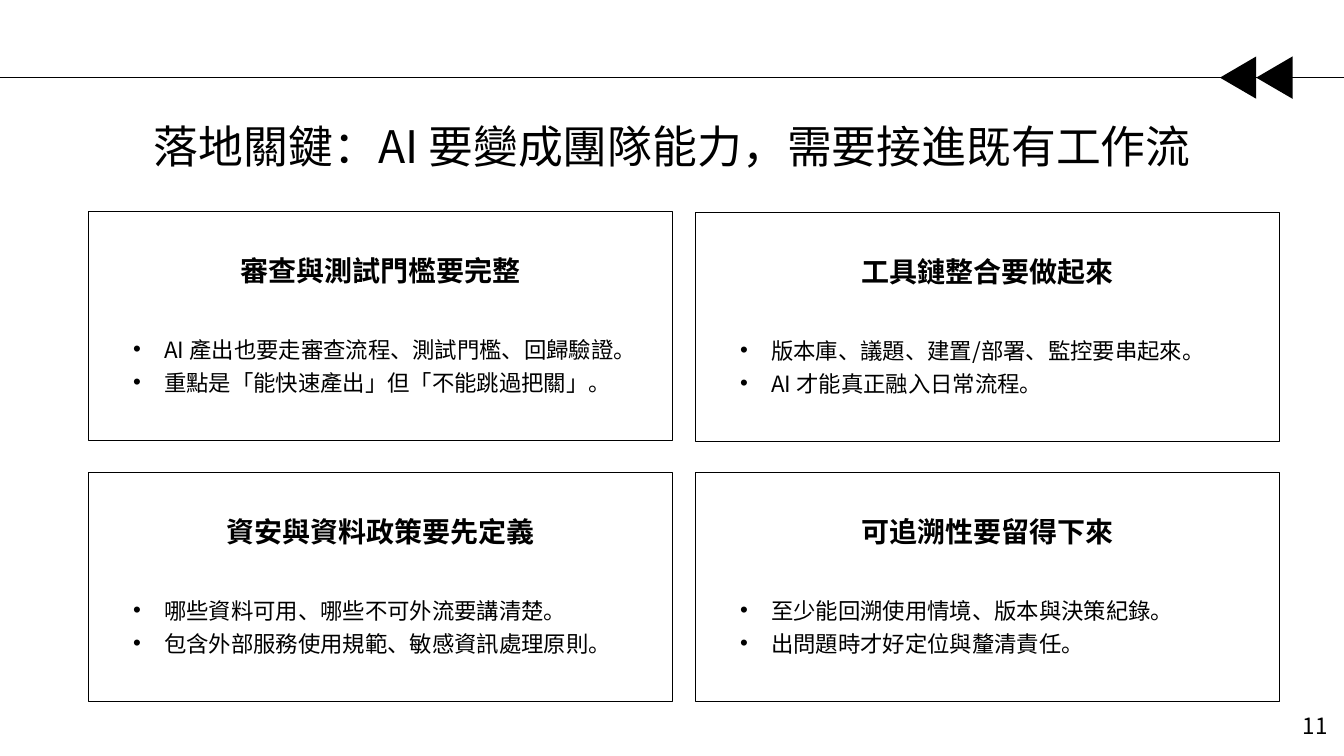
from dataclasses import dataclass

from lxml.etree import SubElement
from pptx import Presentation
from pptx.dml.color import RGBColor as Rgb
from pptx.enum.shapes import MSO_CONNECTOR as Link, MSO_SHAPE as Kind
from pptx.enum.text import MSO_ANCHOR as Anchor, MSO_AUTO_SIZE as Fit, PP_ALIGN as Align
from pptx.oxml.ns import qn
from pptx.shapes.base import BaseShape
from pptx.slide import Slide
from pptx.util import Emu, Pt

PX = 9144
FONT = "Noto Sans CJK SC"
COLORS = {"ink": "000000", "paper": "FFFFFF"}
CARD_W, CARD_H = 579, 227
INDENT = 31
LEADING = 1.23


@dataclass(frozen=True)
class Box:
    x: int
    y: int
    w: int
    h: int


@dataclass(frozen=True)
class Card:
    slot: int
    x: int
    y: int
    head: str
    items: tuple[str, ...]


CARDS = (
    Card(1, 88, 210, "審查與測試門檻要完整",
         ("AI 產出也要走審查流程、測試門檻、回歸驗證。",
          "重點是「能快速產出」但「不能跳過把關」。")),
    Card(2, 690, 211, "工具鏈整合要做起來",
         ("版本庫、議題、建置/部署、監控要串起來。",
          "AI 才能真正融入日常流程。")),
    Card(3, 88, 469, "資安與資料政策要先定義",
         ("哪些資料可用、哪些不可外流要講清楚。",
          "包含外部服務使用規範、敏感資訊處理原則。")),
    Card(4, 690, 469, "可追溯性要留得下來",
         ("至少能回溯使用情境、版本與決策紀錄。",
          "出問題時才好定位與釐清責任。")),
)


def px(n: int) -> Emu:
    return Emu(n * PX)


def ink(name: str) -> Rgb:
    return Rgb.from_string(COLORS[name])


def area(box: Box) -> tuple[Emu, Emu, Emu, Emu]:
    return px(box.x), px(box.y), px(box.w), px(box.h)


def write(shape: BaseShape, text: str, size: int, align: Align,
          bold: bool = False, lead: float = 1.0, anchor: Anchor = Anchor.TOP) -> None:
    frame = shape.text_frame
    frame.text = text
    frame.word_wrap = True
    frame.auto_size = Fit.NONE
    frame.vertical_anchor = anchor
    for para in frame.paragraphs:
        para.alignment = align
        para.line_spacing = lead
        para.space_before = Pt(0)
        for run in para.runs:
            font = run.font
            font.size, font.bold, font.name = Pt(size), bold, FONT
            font.color.rgb = ink("ink")
            SubElement(run._r.get_or_add_rPr(), qn("a:ea")).set("typeface", FONT)


def place(shape: BaseShape, box: Box) -> None:
    shape.left, shape.top, shape.width, shape.height = area(box)


def add_text(slide: Slide, box: Box, text: str, size: int,
             bold: bool = False, lead: float = 1.0) -> None:
    shape = slide.shapes.add_textbox(*area(box))
    write(shape, text, size, Align.CENTER, bold, lead)


def add_list(slide: Slide, slot: int, box: Box, items: tuple[str, ...]) -> None:
    shape = slide.placeholders[slot]
    place(shape, box)
    write(shape, "\n".join(items), 16, Align.LEFT, lead=LEADING)
    for para in shape.text_frame.paragraphs:
        props = para._p.get_or_add_pPr()
        props.set("marL", str(px(INDENT)))
        props.set("indent", str(-px(INDENT)))
        SubElement(props, qn("a:buChar")).set("char", "•")


def add_card(slide: Slide, card: Card) -> None:
    frame = slide.shapes.add_shape(
        Kind.RECTANGLE, *area(Box(card.x, card.y, CARD_W, CARD_H)))
    frame.shadow.inherit = False
    frame.fill.background()
    frame.line.color.rgb = ink("ink")
    frame.line.width = Pt(1)
    add_list(slide, card.slot, Box(card.x + 34, card.y + 112, 530, 86), card.items)
    add_text(slide, Box(card.x + 79, card.y + 37, 421, 44), card.head, 20, bold=True)


def add_rule(slide: Slide) -> None:
    rule = slide.shapes.add_connector(
        Link.STRAIGHT, px(0), px(77), px(1333), px(77))
    rule.line.color.rgb = ink("ink")
    rule.line.width = Pt(0.5)
    SubElement(rule._element.spPr, qn("a:effectLst"))
    for x in (1243, 1207):
        arrow = slide.shapes.add_shape(
            Kind.ISOSCELES_TRIANGLE, *area(Box(x, 59, 42, 36)))
        arrow.rotation = 270
        arrow.shadow.inherit = False
        arrow.fill.solid()
        arrow.fill.fore_color.rgb = ink("ink")
        arrow.line.fill.background()


def main() -> None:
    deck = Presentation()
    deck.slide_width, deck.slide_height = px(1333), px(750)
    slide = deck.slides.add_slide(deck.slide_layouts.get_by_name("Comparison"))
    slide.background.fill.solid()
    slide.background.fill.fore_color.rgb = ink("paper")
    add_rule(slide)
    title = slide.shapes.title
    place(title, Box(88, 112, 1158, 64))
    write(title, "落地關鍵：AI 要變成團隊能力，需要接進既有工作流", 32,
          Align.CENTER, anchor=Anchor.MIDDLE)
    for card in CARDS:
        add_card(slide, card)
    add_text(slide, Box(1281, 695, 47, 46), "11", 16, lead=LEADING)
    deck.save("out.pptx")


if __name__ == "__main__":
    main()
